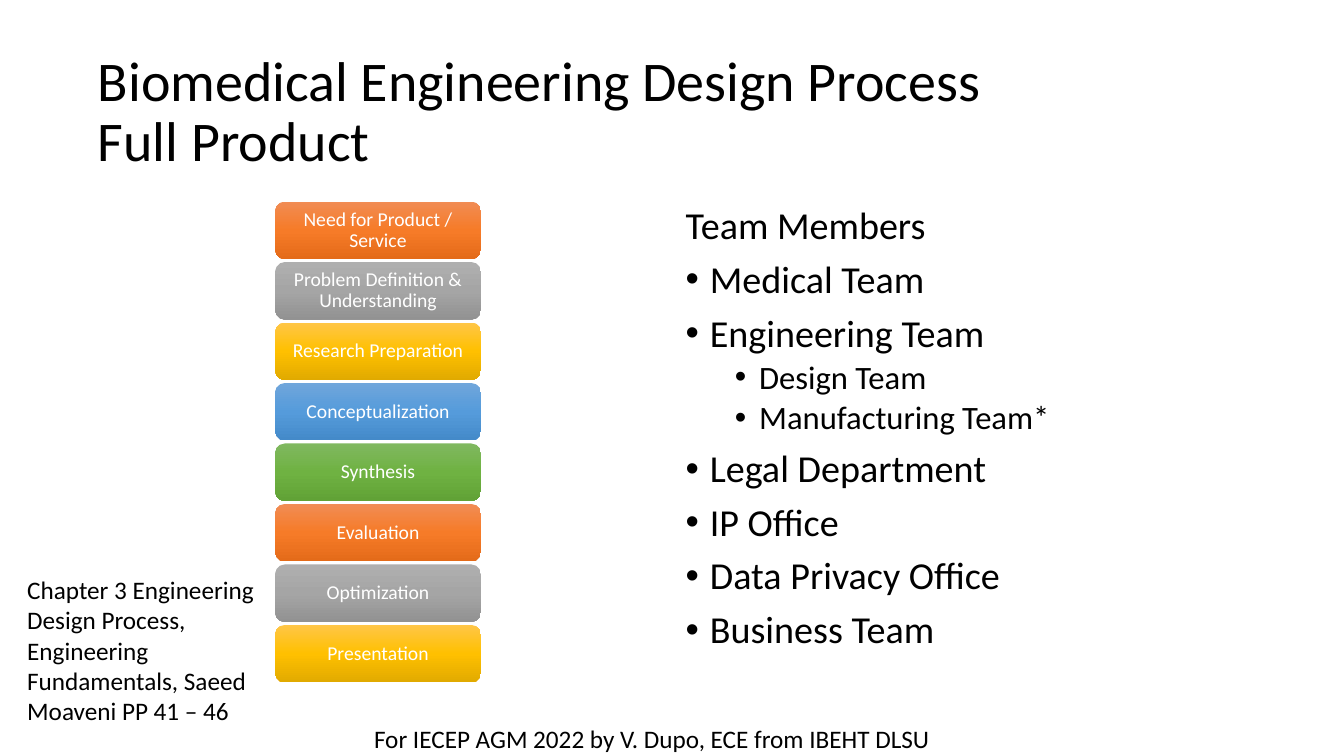
from copy import deepcopy

from lxml import etree
from pptx import Presentation, util as u
from pptx.dml.color import RGBColor
from pptx.enum import shapes, text
from pptx.oxml.ns import qn

BLACK = RGBColor(0, 0, 0)
WHITE = RGBColor(255, 255, 255)
# Top, middle and bottom of each step's gradient
ORANGE = [RGBColor(0xF1, 0x8C, 0x54), RGBColor(0xF6, 0x7B, 0x28), RGBColor(0xE4, 0x6B, 0x19)]
GRAY = [RGBColor(0xAF, 0xAF, 0xAF), RGBColor(0xA5, 0xA5, 0xA5), RGBColor(0x92, 0x92, 0x92)]
GOLD = [RGBColor(0xFF, 0xC6, 0x47), RGBColor(0xFF, 0xC0, 0x00), RGBColor(0xE1, 0xAA, 0x00)]
BLUE = [RGBColor(0x70, 0xA6, 0xDB), RGBColor(0x55, 0x9B, 0xDB), RGBColor(0x44, 0x8A, 0xC9)]
GREEN = [RGBColor(0x80, 0xB8, 0x60), RGBColor(0x6F, 0xB2, 0x42), RGBColor(0x61, 0xA2, 0x36)]
CYCLE = [ORANGE, GRAY, GOLD, BLUE, GREEN]

deck = Presentation()
deck.slide_width, deck.slide_height = u.Inches(13.33), u.Inches(7.5)
slide = deck.slides.add_slide(deck.slide_layouts[1])


def setup(shape, box, inset=0.05, anchor=text.MSO_ANCHOR.TOP):
    """Place a shape and prepare its text frame."""
    shape.left, shape.top, shape.width, shape.height = map(u.Inches, box)
    frame = shape.text_frame
    frame.word_wrap = True
    frame.auto_size = text.MSO_AUTO_SIZE.NONE
    frame.vertical_anchor = anchor
    frame.margin_left = frame.margin_right = u.Inches(inset)
    frame.margin_top = frame.margin_bottom = u.Inches(0.05)
    return frame


def write(para, words, size, color=BLACK, align=text.PP_ALIGN.LEFT, space=0.9):
    """Add one run to a paragraph."""
    para.alignment = align
    para.line_spacing = space
    run = para.add_run()
    run.text = words
    run.font.name = "Calibri"
    run.font.size = u.Pt(size)
    run.font.color.rgb = color


# Title
frame = setup(slide.shapes.title, (0.92, 0.4, 11.5, 1.45), anchor=text.MSO_ANCHOR.MIDDLE)
head = frame.paragraphs[0]
write(head, "Biomedical Engineering Design Process", 40)
head.add_line_break()
write(head, "Full Product", 40)

# Column of design steps
TOP, ROW = 2, 0.6
STEPS = ["Need for Product / Service", "Problem Definition & Understanding",
         "Research Preparation", "Conceptualization", "Synthesis",
         "Evaluation", "Optimization", "Presentation"]
for row, step in enumerate(STEPS):
    box = slide.shapes.add_shape(shapes.MSO_SHAPE.ROUNDED_RECTANGLE, 0, 0, 0, 0)
    frame = setup(box, (2.73, TOP + row * ROW, 2.04, 0.57), 0.09, text.MSO_ANCHOR.MIDDLE)
    frame.margin_top = frame.margin_bottom = 0
    box.shadow.inherit = False
    box.line.fill.background()
    box.fill.gradient()
    box.fill.gradient_angle = 270
    first = box.fill._fill.gradient_stops[0]._gs
    first.addnext(deepcopy(first))
    for i, (stop, tint) in enumerate(zip(box.fill.gradient_stops, CYCLE[row % len(CYCLE)])):
        stop.position = i / 2
        stop.color.rgb = tint
    write(frame.paragraphs[0], step, 14, WHITE, text.PP_ALIGN.CENTER)

# Team list: words and level, with None for the plain heading
TEAM = [("Team Members", None), ("Medical Team", 0), ("Engineering Team", 0),
        ("Design Team", 1), ("Manufacturing Team*", 1), ("Legal Department", 0),
        ("IP Office", 0), ("Data Privacy Office", 0), ("Business Team", 0)]
frame = setup(slide.placeholders[1], (6.75, 2, 5.67, 4.76))
for i, (name, level) in enumerate(TEAM):
    para = frame.paragraphs[0] if i == 0 else frame.add_paragraph()
    para.level = level or 0
    props = para._p.get_or_add_pPr()
    if level is None:
        props.set("marL", "0")
        props.set("indent", "0")
        etree.SubElement(props, qn("a:buNone"))
    else:
        props.set("marL", str(u.Inches(0.24 + 0.49 * level)))
        props.set("indent", str(u.Inches(-0.24)))
        etree.SubElement(props, qn("a:buFont")).set("typeface", "Arial")
        etree.SubElement(props, qn("a:buChar")).set("char", "•")
    para.space_before = u.Pt(0 if i == 0 else 4 if level else 9)
    write(para, name, 23.3 if level else 27.2)

# Source note and footer
NOTES = [("Chapter 3 Engineering Design Process, Engineering Fundamentals, "
          "Saeed Moaveni PP 41 – 46", (0.22, 5.65, 2.54, 1.64)),
         ("For IECEP AGM 2022 by V. Dupo, ECE from IBEHT DLSU", (3.66, 7.13, 6.57, 0.36))]
for words, place in NOTES:
    frame = setup(slide.shapes.add_textbox(0, 0, 0, 0), place)
    write(frame.paragraphs[0], words, 18, space=1)

deck.save("out.pptx")
